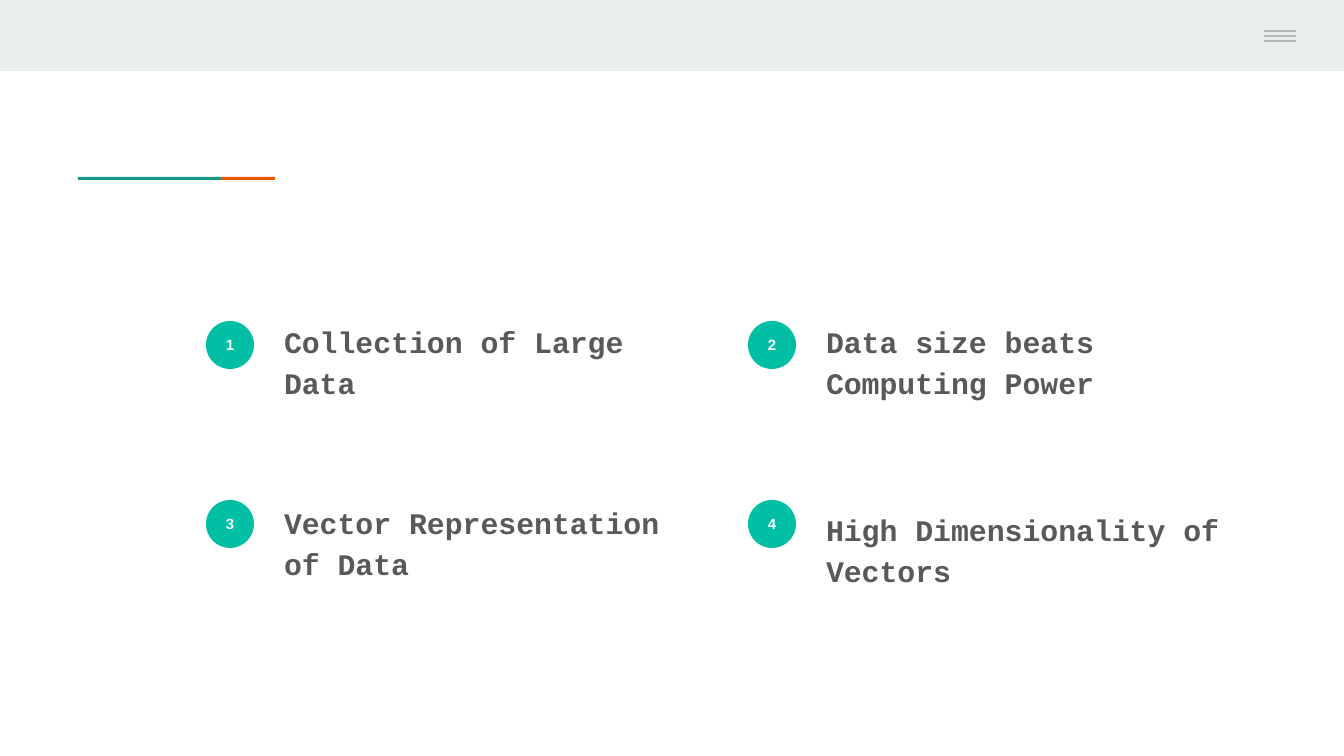
from lxml.etree import SubElement
from pptx import Presentation
from pptx.dml.color import RGBColor
from pptx.enum.shapes import MSO_CONNECTOR, MSO_SHAPE
from pptx.enum.text import MSO_ANCHOR, MSO_AUTO_SIZE, PP_ALIGN
from pptx.oxml.ns import qn
from pptx.util import Emu, Pt

PX = 914400 / 134.4
MARGIN = 13
BADGE_SIZE = 48
COLUMN_STEP = 542
BADGE_LEFT, BADGE_ROWS = 206, (321, 500)
TEXT_LEFT = 271
TOPICS = [
    ("Collection of Large Data", 305, 417, 155),
    ("Data size beats Computing Power", 305, 417, 155),
    ("Vector Representation of Data", 486, 417, 155),
    ("High Dimensionality of Vectors", 493, 441, 140),
]


def px(value):
    return Emu(round(value * PX))


def color(value):
    return RGBColor.from_string(value)


def add_filled(slide, kind, left, top, width, height, fill):
    shape = slide.shapes.add_shape(kind, px(left), px(top), px(width), px(height))
    shape.shadow.inherit = False
    shape.fill.solid()
    shape.fill.fore_color.rgb = color(fill)
    shape.line.fill.background()
    return shape


def add_rule(slide, left, right, y, stroke):
    line = slide.shapes.add_connector(MSO_CONNECTOR.STRAIGHT, px(left), px(y), px(right), px(y))
    line.line.color.rgb = color(stroke)
    line.line.width = Pt(0.75)
    SubElement(line._element.spPr, qn("a:effectLst"))


def set_frame(frame, anchor):
    frame.margin_left = frame.margin_right = px(MARGIN)
    frame.margin_top = frame.margin_bottom = px(MARGIN)
    frame.vertical_anchor = anchor
    frame.word_wrap = True
    frame.auto_size = MSO_AUTO_SIZE.NONE


def add_run(paragraph, text, font_name, size, ink):
    run = paragraph.add_run()
    run.text = text
    run.font.name = font_name
    run.font.size = Pt(size)
    run.font.bold = True
    run.font.color.rgb = color(ink)


def add_badge(slide, left, top, number):
    badge = add_filled(slide, MSO_SHAPE.OVAL, left, top, BADGE_SIZE, BADGE_SIZE, "00BFA5")
    set_frame(badge.text_frame, MSO_ANCHOR.MIDDLE)
    paragraph = badge.text_frame.paragraphs[0]
    paragraph.alignment = PP_ALIGN.CENTER
    add_run(paragraph, str(number), "Arial", 8, "FFFFFF")


def fill_topic(body, left, top, width, height, text):
    body.left, body.top = px(left), px(top)
    body.width, body.height = px(width), px(height)
    set_frame(body.text_frame, MSO_ANCHOR.TOP)
    paragraph = body.text_frame.paragraphs[0]
    properties = paragraph._p.get_or_add_pPr()
    properties.set("marL", "0")
    properties.set("indent", "0")
    SubElement(properties, qn("a:buNone"))
    paragraph.line_spacing = 1.15
    paragraph.space_before = Pt(0)
    paragraph.space_after = Pt(16)
    add_run(paragraph, text, "Courier New", 16, "595959")


def add_header(slide):
    add_filled(slide, MSO_SHAPE.RECTANGLE, 0, 0, 1344, 71, "E9EDEE")
    for y in (31, 36, 41):
        add_rule(slide, 1264, 1296, y, "B7B7B7")


def add_accent(slide):
    add_filled(slide, MSO_SHAPE.RECTANGLE, 78, 177, 143, 3, "1A9988")
    add_filled(slide, MSO_SHAPE.RECTANGLE, 221, 177, 54, 3, "EB5600")


def main():
    presentation = Presentation()
    presentation.slide_width, presentation.slide_height = px(1344), px(756)
    slide = presentation.slides.add_slide(presentation.slide_layouts.get_by_name("Comparison"))
    title = slide.shapes.title._element
    title.getparent().remove(title)
    add_header(slide)
    add_accent(slide)
    for index, (text, top, width, height) in enumerate(TOPICS):
        row, column = divmod(index, 2)
        offset = column * COLUMN_STEP
        add_badge(slide, BADGE_LEFT + offset, BADGE_ROWS[row], index + 1)
        body = slide.placeholders[index + 1]
        fill_topic(body, TEXT_LEFT + offset, top, width, height, text)
    presentation.save("out.pptx")


if __name__ == "__main__":
    main()
